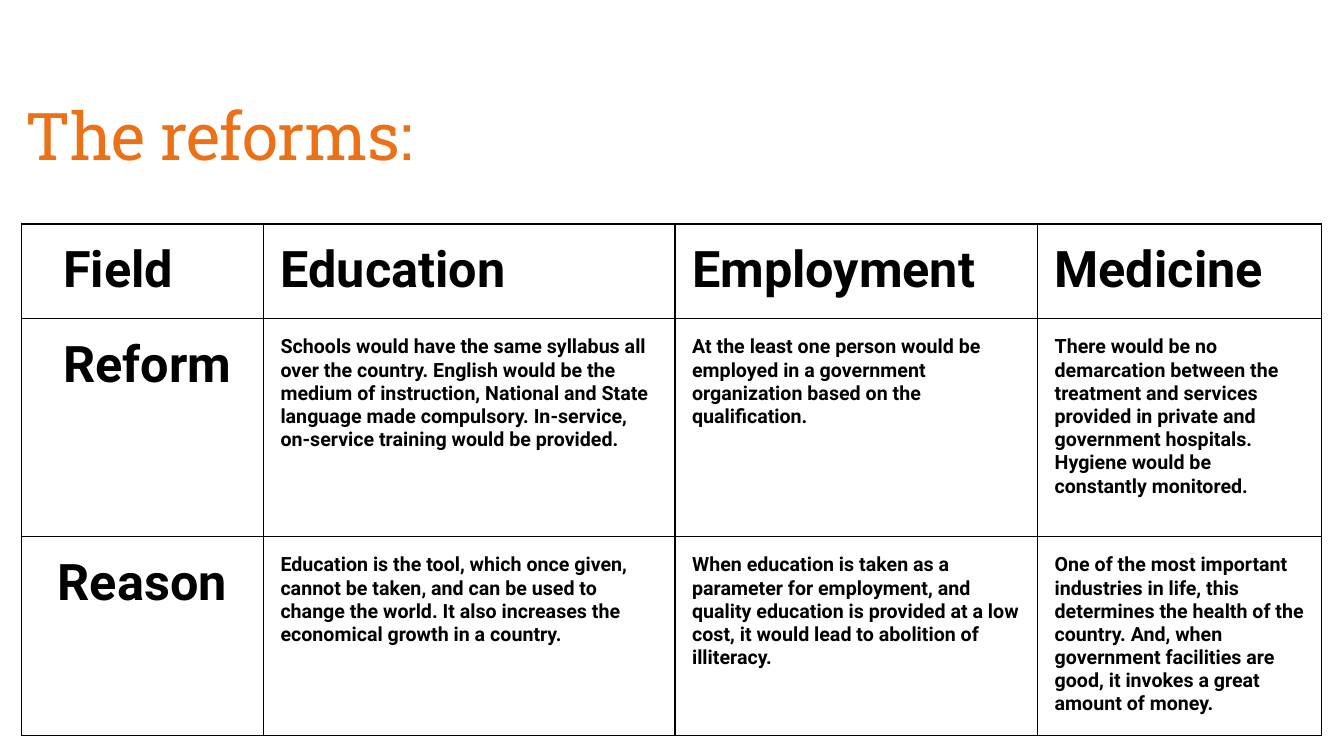
from lxml.etree import SubElement
from pptx import Presentation
from pptx.dml.color import RGBColor
from pptx.enum.text import MSO_ANCHOR as Anchor, PP_ALIGN as Align
from pptx.oxml.ns import qn
from pptx.util import Pt

HEADING = "The reforms:"
REFORMS = [
    ("Field", "Education", "Employment", "Medicine"),
    ("Reform",
     "Schools would have the same syllabus all over the country. English would be the medium of "
     "instruction, National and State language made compulsory. In-service,\n"
     "on-service training would be provided.",
     "At the least one person would be employed in a government organization based on the "
     "qualification.",
     "There would be no demarcation between the treatment and services provided in private and "
     "government hospitals. Hygiene would be constantly monitored."),
    ("Reason",
     "Education is the tool, which once given, cannot be taken, and can be used to change the "
     "world. It also increases the economical growth in a country.",
     "When education is taken as a parameter for employment, and quality education is provided "
     "at a low cost, it would lead to abolition of illiteracy.",
     "One of the most important industries in life, this determines the health of the country. "
     "And, when government facilities are good, it invokes a great amount of money."),
]
FIELD_WIDTHS = [173, 294, 259, 203]
ROW_HEIGHTS = [66, 155.7, 139.6]
GRID_LEFT, GRID_TOP = 15.2, 160
PADDING, LABEL_INDENT = 12.2, 17.8
BLACK, ORANGE = "000000", "EC7016"


def colour(hex_code):
    return RGBColor.from_string(hex_code)


def apply(target, values):
    for name, value in values.items():
        setattr(target, name, value)


def set_font(paragraph, face, size, hex_code, bold=False):
    apply(paragraph.font, {"name": face, "size": Pt(size), "bold": bold})
    paragraph.font.color.rgb = colour(hex_code)
    for run in paragraph.runs:
        apply(run.font, {"name": face, "size": Pt(size), "bold": bold})
        run.font.color.rgb = colour(hex_code)


def outline(cell):
    properties = cell._tc.get_or_add_tcPr()
    for position, side in enumerate(("lnL", "lnR", "lnT", "lnB")):
        edge = SubElement(properties, qn(f"a:{side}"), w=str(Pt(1)))
        ink = SubElement(edge, qn("a:solidFill"))
        SubElement(ink, qn("a:srgbClr"), val=BLACK)
        properties.insert(position, edge)


def add_heading(slide):
    frame = slide.shapes.add_textbox(Pt(0), Pt(13.7), Pt(792), Pt(114.5)).text_frame
    apply(frame, {"word_wrap": True, "vertical_anchor": Anchor.BOTTOM,
                  "margin_left": Pt(18.4), "text": HEADING})
    heading = frame.paragraphs[0]
    heading.line_spacing = 0.9
    set_font(heading, "Roboto Slab", 47, ORANGE)
    heading.runs[0].font._element.set("spc", "-50")


def fill_cell(cell, wording, row, column):
    indent = LABEL_INDENT if column == 0 and row < 2 else 0
    apply(cell, {"text": wording, "vertical_anchor": Anchor.TOP,
                 "margin_left": Pt(PADDING + indent), "margin_right": Pt(PADDING),
                 "margin_top": Pt(PADDING), "margin_bottom": Pt(PADDING)})
    cell.fill.background()
    outline(cell)
    for paragraph in cell.text_frame.paragraphs:
        paragraph.alignment = Align.CENTER if wording == "Reason" else Align.LEFT
        set_font(paragraph, "Roboto", 36 if row == 0 or column == 0 else 14, BLACK, True)


def add_reforms(slide):
    grid = slide.shapes.add_table(
        len(REFORMS), len(FIELD_WIDTHS), Pt(GRID_LEFT), Pt(GRID_TOP),
        Pt(sum(FIELD_WIDTHS)), Pt(sum(ROW_HEIGHTS))).table
    apply(grid, {"first_row": False, "horz_banding": False})
    for column, width in zip(grid.columns, FIELD_WIDTHS):
        column.width = Pt(width)
    for row, height in zip(grid.rows, ROW_HEIGHTS):
        row.height = Pt(height)
    for row, wordings in enumerate(REFORMS):
        for column, wording in enumerate(wordings):
            fill_cell(grid.cell(row, column), wording, row, column)


def main():
    deck = Presentation()
    apply(deck, {"slide_width": Pt(960), "slide_height": Pt(540)})
    slide = deck.slides.add_slide(deck.slide_layouts[6])
    add_heading(slide)
    add_reforms(slide)
    deck.save("out.pptx")


if __name__ == "__main__":
    main()
